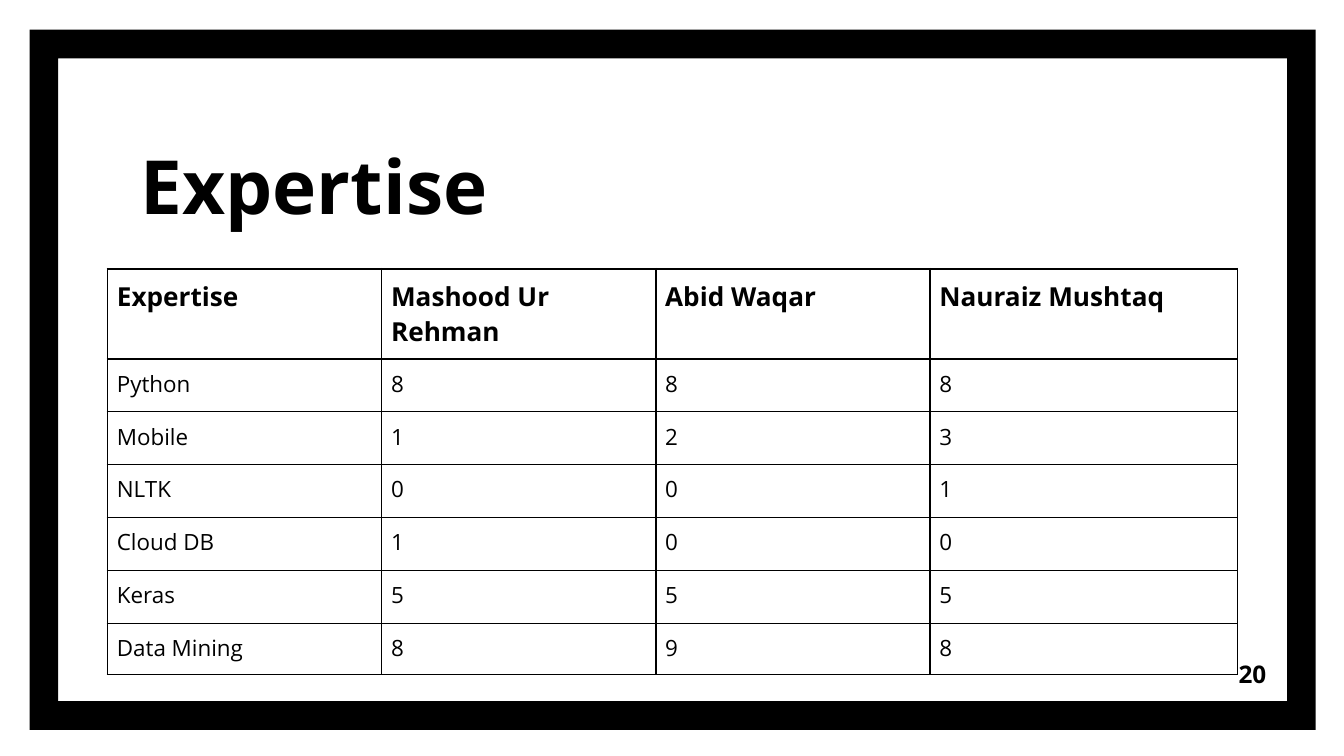
from lxml.etree import SubElement
from pptx import Presentation
from pptx.dml.color import RGBColor
from pptx.enum.shapes import MSO_SHAPE
from pptx.enum.text import MSO_ANCHOR, PP_ALIGN
from pptx.oxml.ns import qn
from pptx.util import Inches, Pt

TITLE = "Expertise"
PAGE_NUMBER = "20"
SKILLS = [
    ("Expertise", "Mashood Ur Rehman", "Abid Waqar", "Nauraiz Mushtaq"),
    ("Python", 8, 8, 8),
    ("Mobile", 1, 2, 3),
    ("NLTK", 0, 0, 1),
    ("Cloud DB", 1, 0, 0),
    ("Keras", 5, 5, 5),
    ("Data Mining", 8, 9, 8),
]
COLUMN_WIDTHS = [2.04, 2.04, 2.04, 2.29]
ROW_HEIGHTS = [0.67] + [1.97 / 5] * 5 + [0.38]

BLACK = RGBColor(0, 0, 0)
WHITE = RGBColor(255, 255, 255)
FONT = "Open Sans"


def write(text_frame, text, size, bold=True, align=PP_ALIGN.LEFT):
    paragraph = text_frame.paragraphs[0]
    paragraph.alignment = align
    run = paragraph.add_run()
    run.text = str(text)
    run.font.color.rgb = BLACK
    for key, value in {"name": FONT, "size": Pt(size), "bold": bold}.items():
        setattr(run.font, key, value)


def set_margins(holder, inset):
    for side in ("left", "right", "top", "bottom"):
        setattr(holder, f"margin_{side}", Inches(inset))


def add_label(slide, box, text, size, anchor, align=PP_ALIGN.LEFT):
    frame = slide.shapes.add_textbox(*map(Inches, box)).text_frame
    frame.word_wrap = True
    frame.vertical_anchor = anchor
    set_margins(frame, 0.1)
    write(frame, text, size, align=align)


def add_borders(cell):
    properties = cell._tc.get_or_add_tcPr()
    for position, edge in enumerate(("lnL", "lnR", "lnT", "lnB")):
        line = SubElement(properties, qn(f"a:{edge}"), w=str(Pt(1)))
        fill = SubElement(line, qn("a:solidFill"))
        SubElement(fill, qn("a:srgbClr"), val=str(BLACK))
        properties.insert(position, line)


def add_skill_table(slide):
    table = slide.shapes.add_table(
        len(SKILLS), len(COLUMN_WIDTHS), Inches(0.8), Inches(2),
        Inches(sum(COLUMN_WIDTHS)), Inches(sum(ROW_HEIGHTS))).table
    for column, width in zip(table.columns, COLUMN_WIDTHS):
        column.width = Inches(width)
    for row, height in zip(table.rows, ROW_HEIGHTS):
        row.height = Inches(height)
    for r, values in enumerate(SKILLS):
        header = r == 0
        for c, value in enumerate(values):
            cell = table.cell(r, c)
            set_margins(cell, 0.07)
            cell.fill.background()
            add_borders(cell)
            write(cell.text_frame, value, 14 if header else 12, bold=header)


presentation = Presentation()
presentation.slide_width = Inches(10)
presentation.slide_height = Inches(10 * 9 / 16)
slide = presentation.slides.add_slide(presentation.slide_layouts[6])
slide.background.fill.solid()
slide.background.fill.fore_color.rgb = WHITE

border = slide.shapes.add_shape(
    MSO_SHAPE.FRAME, *map(Inches, (0.22, 0.22, 9.57, 5.21)))
border.adjustments[0] = 0.041
border.shadow.inherit = False
border.fill.solid()
border.fill.fore_color.rgb = BLACK
border.line.fill.background()

add_label(slide, (0.95, 0.93, 5.57, 0.88), TITLE, 40, MSO_ANCHOR.BOTTOM)
add_label(slide, (8.92, 4.8, 0.6, 0.43), PAGE_NUMBER, 13, MSO_ANCHOR.MIDDLE,
          PP_ALIGN.RIGHT)
add_skill_table(slide)

presentation.save("out.pptx")
